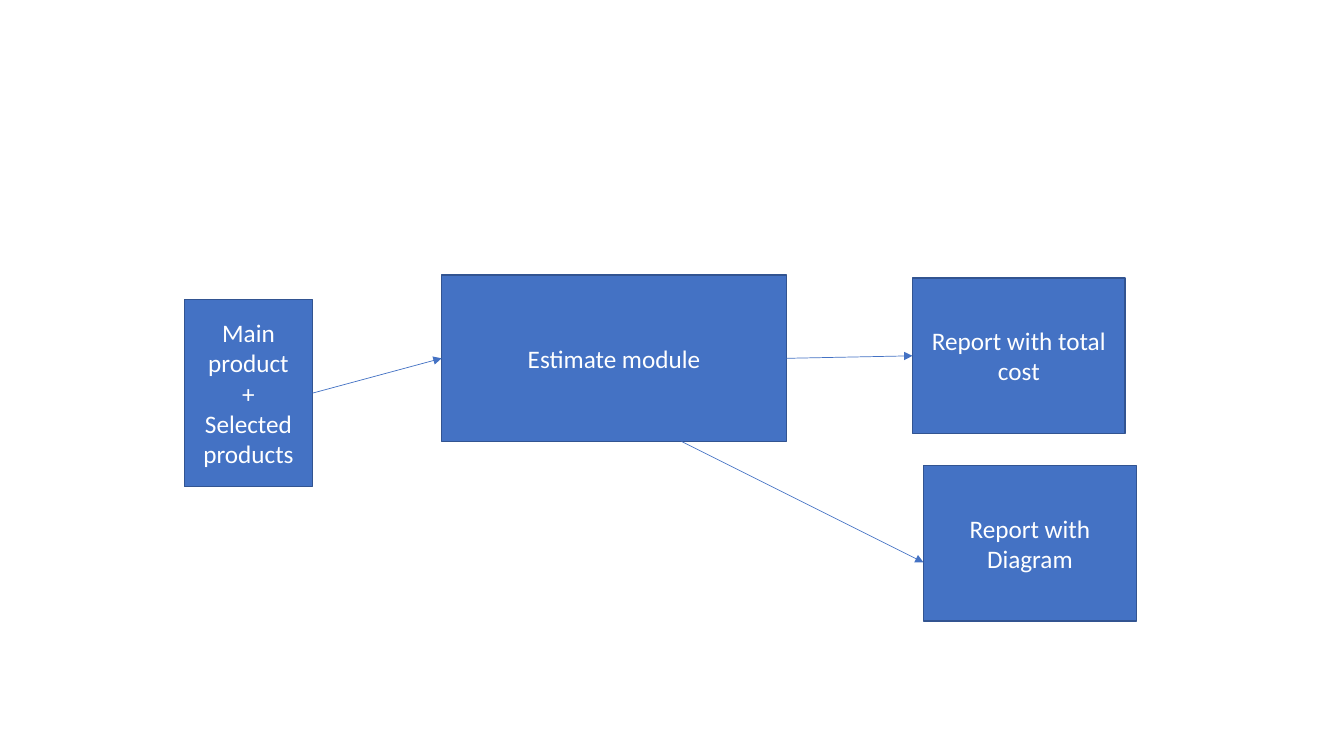
from dataclasses import dataclass

from lxml import etree
from pptx import Presentation
from pptx.dml.color import RGBColor
from pptx.enum import shapes, text
from pptx.oxml import ns
from pptx.util import Inches, Pt


@dataclass(frozen=True)
class Theme:
    fill: RGBColor = RGBColor(0x44, 0x72, 0xC4)
    outline: RGBColor = RGBColor(0x32, 0x54, 0x91)
    label: RGBColor = RGBColor(0xFF, 0xFF, 0xFF)
    font: str = "Calibri"
    size: Pt = Pt(18)
    outline_width: Pt = Pt(1)
    arrow_width: Pt = Pt(0.5)


THEME = Theme()
TOP, LEFT, BOTTOM, RIGHT = range(4)
REPORT_SIZE = (2.11, 1.54)


def add_block(page, left, top, width, height, *lines):
    """Add a filled rectangle with one centred paragraph per line."""
    block = page.shapes.add_shape(
        shapes.MSO_SHAPE.RECTANGLE,
        Inches(left), Inches(top), Inches(width), Inches(height))
    block.shadow.inherit = False
    block.fill.solid()
    block.fill.fore_color.rgb = THEME.fill
    block.line.color.rgb = THEME.outline
    block.line.width = THEME.outline_width
    frame = block.text_frame
    frame.word_wrap = True
    frame.vertical_anchor = text.MSO_ANCHOR.MIDDLE
    frame.text = "\n".join(lines)
    for para in frame.paragraphs:
        para.alignment = text.PP_ALIGN.CENTER
        para.font.name = THEME.font
        para.font.size = THEME.size
        para.font.color.rgb = THEME.label
    return block


def add_arrow(page, start=(0, 0), end=(0, 0)):
    arrow = page.shapes.add_connector(
        shapes.MSO_CONNECTOR.STRAIGHT, *start, *end)
    arrow.line.color.rgb = THEME.fill
    arrow.line.width = THEME.arrow_width
    etree.SubElement(arrow.line._get_or_add_ln(), ns.qn("a:tailEnd"),
                     type="triangle")
    etree.SubElement(arrow._element.spPr, ns.qn("a:effectLst"))
    return arrow


def join_sides(page, source, target):
    arrow = add_arrow(page)
    arrow.begin_connect(source, RIGHT)
    arrow.end_connect(target, LEFT)


def add_estimate_flow(page, left, top):
    """Place the flow from products to reports, from its top left corner."""
    module = add_block(page, left + 2.55, top, 3.42, 1.65, "Estimate module")
    products = add_block(page, left, top + 0.24, 1.27, 1.86,
                         "Main product", "+", "Selected products")
    cost = add_block(page, left + 7.22, top + 0.03, *REPORT_SIZE,
                     "Report with total cost")
    diagram = add_block(page, left + 7.33, top + 1.89, *REPORT_SIZE,
                        "Report with Diagram")
    join_sides(page, products, module)
    join_sides(page, module, cost)
    add_arrow(page,
              (module.left + Inches(2.38), module.top + module.height),
              (diagram.left, diagram.top + Inches(0.96)))


def main():
    deck = Presentation()
    deck.slide_width, deck.slide_height = Inches(13.33), Inches(7.5)
    page = deck.slides.add_slide(deck.slide_layouts[6])
    add_estimate_flow(page, 1.83, 2.73)
    deck.save("out.pptx")


if __name__ == "__main__":
    main()
